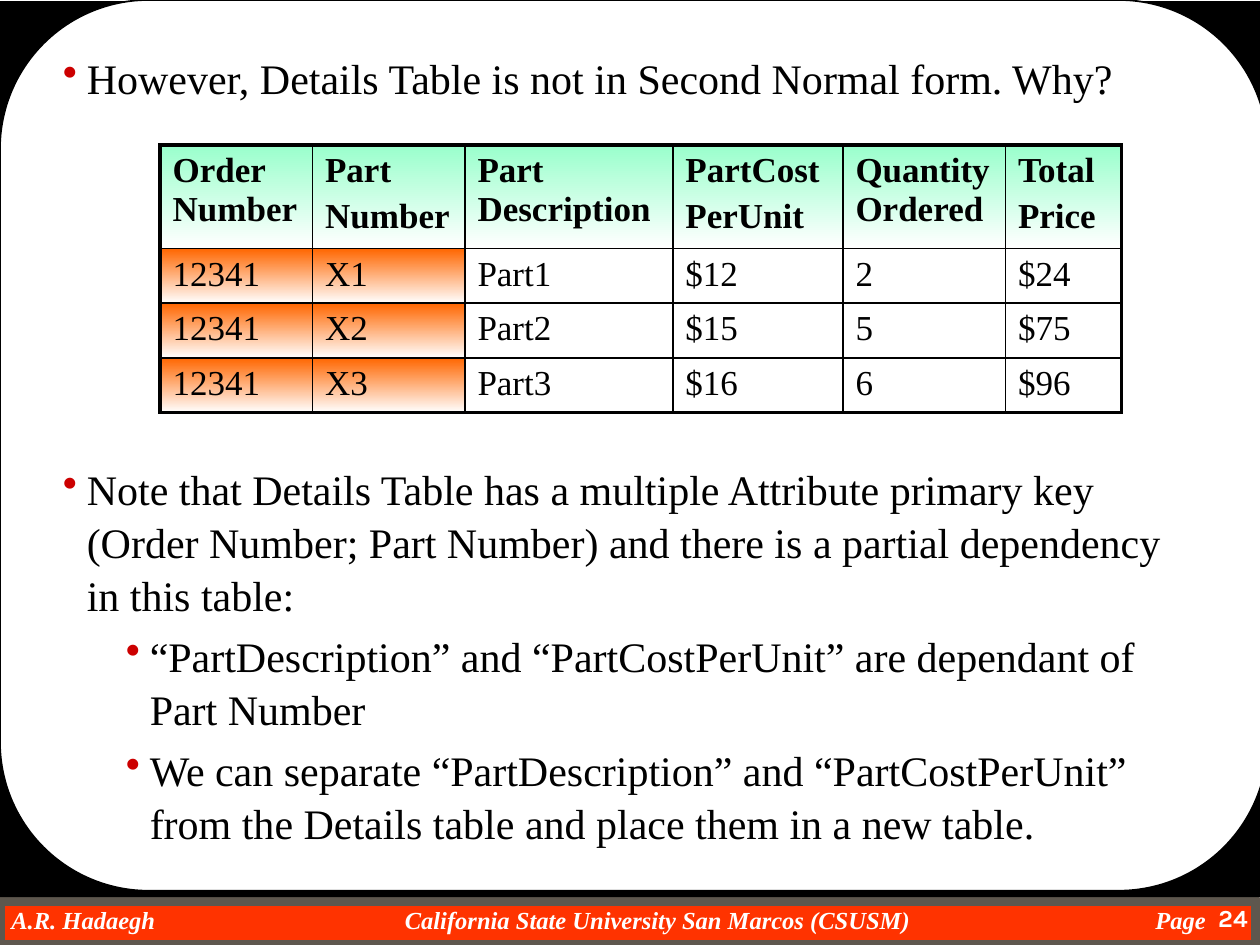
"""Builds the slide on why the Details Table is not in second normal form."""
from dataclasses import dataclass

from lxml.etree import SubElement
from pptx import Presentation
from pptx.dml.color import RGBColor
from pptx.enum.shapes import MSO_SHAPE as Preset
from pptx.enum.text import PP_ALIGN as Align
from pptx.oxml.ns import qn
from pptx.util import Inches, Pt

SERIF = "Times New Roman"
BLACK, WHITE, RED = "000000", "FFFFFF", "CC0000"
THIN, THICK = 1, 2.25


@dataclass(frozen=True)
class Box:
    left: float
    top: float
    width: float
    height: float

    def lengths(self) -> list:
        return [Inches(value) for value in (self.left, self.top, self.width, self.height)]


@dataclass(frozen=True)
class Style:
    size: float
    color: str = BLACK
    font: str = SERIF
    bold: bool = False
    italic: bool = False


@dataclass(frozen=True)
class Bullet:
    text: str
    indent: float = 0.19
    space_before: float = 0


@dataclass(frozen=True)
class Column:
    width: float
    header: tuple
    values: tuple
    header_gap: float = 4
    is_key: bool = False


BODY = Style(24)
CELL = Style(20)
HEADER = Style(20, bold=True)
FOOTER = Style(14, WHITE, bold=True, italic=True)
PAGE_NUMBER = Style(14, WHITE, "Karla", bold=True)

QUESTION = [Bullet("However, Details Table is not in Second Normal form. Why?")]
NOTES = [
    Bullet("Note that Details Table has a multiple Attribute primary key\n"
           "(Order Number; Part Number) and there is a partial dependency in this table:"),
    Bullet("“PartDescription” and “PartCostPerUnit” are dependant of Part Number", 0.69, 4.8),
    Bullet("We can separate “PartDescription” and “PartCostPerUnit” from the Details table "
           "and place them in a new table.", 0.69, 4.8),
]
COLUMNS = [
    Column(1.21, ("Order Number",), ("12341", "12341", "12341"), is_key=True),
    Column(1.21, ("Part", "Number"), ("X1", "X2", "X3"), is_key=True),
    Column(1.65, ("Part", "Description"), ("Part1", "Part2", "Part3"), header_gap=0),
    Column(1.35, ("PartCost", "PerUnit"), ("$12", "$15", "$16")),
    Column(1.29, ("Quantity", "Ordered"), ("2", "5", "6"), header_gap=0),
    Column(0.92, ("Total", "Price"), ("$24", "$75", "$96")),
]
ROW_HEIGHTS = [0.82, 0.43, 0.43, 0.43]


def rgb(color: str) -> RGBColor:
    return RGBColor.from_string(color)


def add_text(paragraph, text: str, style: Style) -> None:
    for index, line in enumerate(text.split("\n")):
        if index:
            paragraph.add_line_break()
        run = paragraph.add_run()
        run.text = line
        font = run.font
        font.name, font.size = style.font, Pt(style.size)
        font.bold, font.italic = style.bold, style.italic
        font.color.rgb = rgb(style.color)


def next_paragraph(frame, index: int):
    return frame.add_paragraph() if index else frame.paragraphs[0]


def add_panel(slide, preset, box: Box, fill: str, line: str = "", line_width: float = 0):
    shape = slide.shapes.add_shape(preset, *box.lengths())
    shape.shadow.inherit = False
    shape.fill.solid()
    shape.fill.fore_color.rgb = rgb(fill)
    if line:
        shape.line.color.rgb = rgb(line)
        shape.line.width = Pt(line_width)
    else:
        shape.line.fill.background()
    return shape


def add_frame(slide, box: Box):
    frame = slide.shapes.add_textbox(*box.lengths()).text_frame
    frame.word_wrap = True
    return frame


def add_bullets(slide, box: Box, bullets: list) -> None:
    frame = add_frame(slide, box)
    for index, bullet in enumerate(bullets):
        paragraph = next_paragraph(frame, index)
        properties = paragraph._p.get_or_add_pPr()
        properties.set("marL", str(Inches(bullet.indent)))
        properties.set("indent", str(Inches(-0.19)))
        color = SubElement(properties, qn("a:buClr"))
        SubElement(color, qn("a:srgbClr"), val=RED)
        SubElement(properties, qn("a:buChar"), char="•")
        paragraph.line_spacing = 1.05
        if bullet.space_before:
            paragraph.space_before = Pt(bullet.space_before)
        add_text(paragraph, bullet.text, BODY)


def add_footer(slide) -> None:
    frame = add_frame(slide, Box(0.09, 7.18, 9.59, 0.23))
    frame.margin_left = frame.margin_top = frame.margin_right = frame.margin_bottom = 0
    paragraph = frame.paragraphs[0]
    tabs = SubElement(paragraph._p.get_or_add_pPr(), qn("a:tabLst"))
    for position, alignment in ((5.13, "ctr"), (9.48, "r")):
        SubElement(tabs, qn("a:tab"), pos=str(Inches(position)), algn=alignment)
    add_text(paragraph, "A.R. Hadaegh\tCalifornia State University San Marcos (CSUSM)\tPage", FOOTER)


def add_page_number(slide) -> None:
    paragraph = add_frame(slide, Box(9.25, 7.12, 0.75, 0.38)).paragraphs[0]
    paragraph.alignment = Align.RIGHT
    add_text(paragraph, "24", PAGE_NUMBER)


def set_borders(cell, widths: dict) -> None:
    properties = cell._tc.get_or_add_tcPr()
    for side, width in widths.items():
        line = SubElement(properties, qn(f"a:ln{side}"), w=str(Pt(width)))
        SubElement(SubElement(line, qn("a:solidFill")), qn("a:srgbClr"), val=BLACK)


def fade_to_white(cell, color: str) -> None:
    cell.fill.gradient()
    cell.fill.gradient_angle = 270
    for stop, position, shade in zip(cell.fill.gradient_stops, (0, 1), (color, WHITE)):
        stop.position = position
        stop.color.rgb = rgb(shade)


def fill_cell(cell, lines: tuple, style: Style, gap: float) -> None:
    for index, line in enumerate(lines):
        paragraph = next_paragraph(cell.text_frame, index)
        if index:
            paragraph.space_before = Pt(gap)
        add_text(paragraph, line, style)


def add_details_table(slide) -> None:
    box = Box(1.27, 1.15, sum(column.width for column in COLUMNS), sum(ROW_HEIGHTS))
    table = slide.shapes.add_table(len(ROW_HEIGHTS), len(COLUMNS), *box.lengths()).table
    table.first_row = table.horz_banding = False
    last_row, last_column = len(ROW_HEIGHTS) - 1, len(COLUMNS) - 1
    for row, height in enumerate(ROW_HEIGHTS):
        table.rows[row].height = Inches(height)
    for index, column in enumerate(COLUMNS):
        table.columns[index].width = Inches(column.width)
        for row in range(len(ROW_HEIGHTS)):
            cell = table.cell(row, index)
            outer = {"L": index == 0, "R": index == last_column, "T": row == 0, "B": row == last_row}
            set_borders(cell, {side: THICK if edge else THIN for side, edge in outer.items()})
            if row == 0:
                fade_to_white(cell, "99FFCC")
                fill_cell(cell, column.header, HEADER, column.header_gap)
                continue
            if column.is_key:
                fade_to_white(cell, "FF6600")
            else:
                cell.fill.background()
            fill_cell(cell, (column.values[row - 1],), CELL, 0)


def main() -> None:
    presentation = Presentation()
    presentation.slide_width, presentation.slide_height = Inches(10), Inches(7.5)
    slide = presentation.slides.add_slide(presentation.slide_layouts[6])
    add_panel(slide, Preset.RECTANGLE, Box(0, 7.15, 9.97, 0.35), "FF3300", "5E574E", 6)
    add_footer(slide)
    add_panel(slide, Preset.RECTANGLE, Box(0, 0.01, 10, 7.11), BLACK)
    panel = add_panel(slide, Preset.ROUNDED_RECTANGLE, Box(0, 0, 10.06, 7.07), WHITE, BLACK, 1)
    panel.adjustments[0] = 1.18 / 7.07
    add_page_number(slide)
    add_bullets(slide, Box(0.4, 3.61, 9.18, 3.06), NOTES)
    add_bullets(slide, Box(0.4, 0.35, 9.18, 0.5), QUESTION)
    add_details_table(slide)
    presentation.save("out.pptx")


if __name__ == "__main__":
    main()
